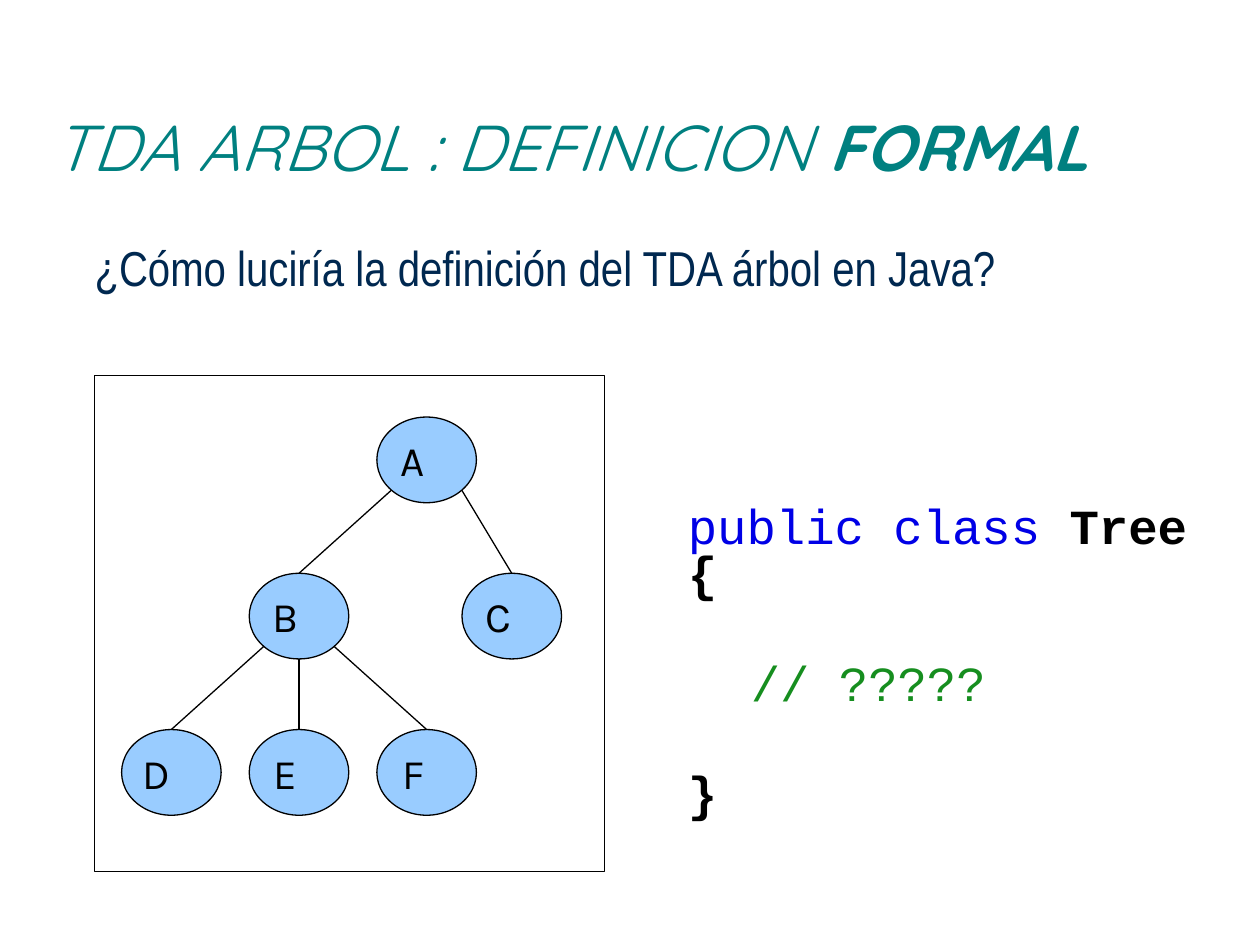
from math import sqrt

from lxml import etree
from pptx import Presentation
from pptx.dml.color import RGBColor
from pptx.enum.shapes import MSO_CONNECTOR, MSO_SHAPE
from pptx.enum.text import MSO_ANCHOR
from pptx.oxml.ns import qn
from pptx.util import Inches, Pt

COLORS = {
    "title": "008080",
    "question": "002850",
    "node": "99CCFF",
    "ink": "000000",
    "keyword": "0000E6",
    "comment": "168E1F",
}
NODE_W, NODE_H = 0.79, 0.68
COLUMN_X, COLUMN_STEP = 1.36, 1.013
LEVEL_Y, LEVEL_STEP = 3.65, 1.24
NODES = {
    "A": (2, 0, 0.42),
    "B": (1, 1, 0.42),
    "C": (2.667, 1, 0.42),
    "D": (0, 2, 0.46),
    "E": (1, 2, 0.41),
    "F": (2, 2, 0.39),
}
EDGES = ["AB", "AC", "BD", "BE", "BF"]


def color(key):
    return RGBColor.from_string(COLORS[key])


def add_text_frame(slide, left, top, width, height, anchor=MSO_ANCHOR.TOP):
    frame = slide.shapes.add_textbox(
        Inches(left), Inches(top), Inches(width), Inches(height)
    ).text_frame
    frame.word_wrap = True
    frame.vertical_anchor = anchor
    frame.margin_left = frame.margin_right = 0
    frame.margin_top = frame.margin_bottom = 0
    return frame


def add_run(paragraph, text, font, size, color_key, bold=False, italic=False):
    run = paragraph.add_run()
    run.text = text
    run.font.name = font
    run.font.size = Pt(size)
    run.font.color.rgb = color(color_key)
    run.font.bold = bold
    run.font.italic = italic


def outline(part):
    part.line.color.rgb = color("ink")
    part.line.width = Pt(0.75)


def node_center(name):
    column, level, _ = NODES[name]
    return COLUMN_X + column * COLUMN_STEP, LEVEL_Y + level * LEVEL_STEP


def add_node(slide, name):
    x, y = node_center(name)
    top = y - NODE_H / 2
    circle = slide.shapes.add_shape(
        MSO_SHAPE.OVAL, Inches(x - NODE_W / 2), Inches(top), Inches(NODE_W), Inches(NODE_H)
    )
    circle.shadow.inherit = False
    circle.fill.solid()
    circle.fill.fore_color.rgb = color("node")
    outline(circle)
    label_w = NODES[name][2]
    label = add_text_frame(slide, x - label_w / 2, top, label_w, NODE_H, MSO_ANCHOR.MIDDLE)
    add_run(label.paragraphs[0], name, "Karla", 24, "ink")


def add_edge(slide, parent, child):
    parent_x, parent_y = node_center(parent)
    child_x, child_y = node_center(child)
    if abs(child_x - parent_x) < 0.01:
        start_x, start_y = parent_x, parent_y + NODE_H / 2
    else:
        side = 1 if child_x > parent_x else -1
        start_x = parent_x + side * NODE_W / 2 / sqrt(2)
        start_y = parent_y + NODE_H / 2 / sqrt(2)
    edge = slide.shapes.add_connector(
        MSO_CONNECTOR.STRAIGHT,
        Inches(start_x), Inches(start_y), Inches(child_x), Inches(child_y - NODE_H / 2),
    )
    outline(edge)
    etree.SubElement(edge._element.spPr, qn("a:effectLst"))


def add_tree(slide):
    for name in NODES:
        add_node(slide, name)
    for parent, child in EDGES:
        add_edge(slide, parent, child)
    border = slide.shapes.add_shape(
        MSO_SHAPE.RECTANGLE, Inches(0.75), Inches(2.98), Inches(4.05), Inches(3.94)
    )
    border.shadow.inherit = False
    border.fill.background()
    outline(border)


def add_code(slide):
    code = add_text_frame(slide, 5.46, 4.02, 4.24, 2.25)
    lines = [
        (4, [("public class ", "keyword", False), ("Tree {", "ink", True)]),
        (36, [("\t// ?????", "comment", False)]),
        (36, [("}", "ink", True)]),
    ]
    for index, (space, pieces) in enumerate(lines):
        line = code.add_paragraph() if index else code.paragraphs[0]
        line.line_spacing = 0.8
        line.space_before = Pt(space)
        for text, color_key, bold in pieces:
            add_run(line, text, "Courier New", 28, color_key, bold)


def main():
    deck = Presentation()
    deck.slide_width, deck.slide_height = Inches(10), Inches(7.5)
    slide = deck.slides.add_slide(deck.slide_layouts[6])

    title = add_text_frame(slide, 0.42, 0.53, 9, 1.25, MSO_ANCHOR.MIDDLE).paragraphs[0]
    add_run(title, "TDA ARBOL : DEFINICION ", "Quicksand", 37, "title", italic=True)
    add_run(title, "FORMAL", "Quicksand", 37, "title", bold=True, italic=True)

    question = add_text_frame(slide, 0.75, 1.94, 8.58, 4.96).paragraphs[0]
    question.line_spacing = 0.9
    question.space_before = Pt(4)
    add_run(question, "¿Cómo luciría la definición del TDA árbol en Java?",
            "Arial Narrow", 28, "question")

    add_tree(slide)
    add_code(slide)
    deck.save("out.pptx")


if __name__ == "__main__":
    main()
